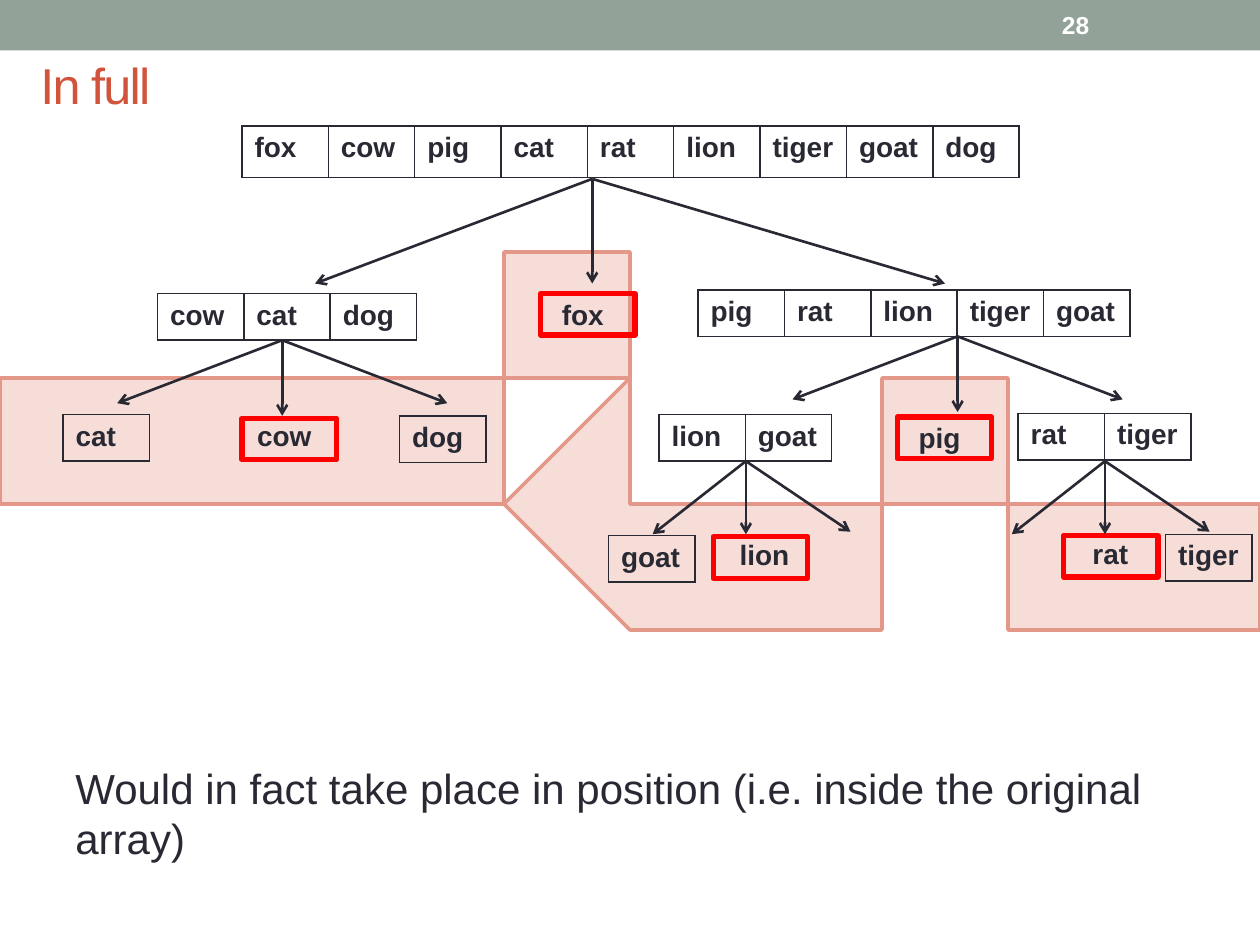
"""Build the slide showing a full quicksort recursion on animal names."""
from lxml import etree
from pptx import Presentation
from pptx.dml.color import RGBColor
from pptx.enum import shapes, text
from pptx.oxml import ns
from pptx.util import Inches, Pt

INK = RGBColor(0x29, 0x29, 0x34)
SAGE = RGBColor(0x93, 0xA2, 0x99)
RUST = RGBColor(0xD2, 0x53, 0x3C)
BLUSH = RGBColor(0xF6, 0xDD, 0xD8)
CORAL = RGBColor(0xE4, 0x98, 0x8A)
RED = RGBColor(0xFF, 0x00, 0x00)
WHITE = RGBColor(0xFF, 0xFF, 0xFF)
CELL_WIDTH = 6.17 / 9


def style(paragraph, size, color, bold=False):
    for run in paragraph.runs:
        run.font.name = "Arial"
        run.font.size = Pt(size)
        run.font.bold = bold
        run.font.color.rgb = color


def add_array(slide, left, top, words, bordered=True, height=0.37):
    frame = slide.shapes.add_table(1, len(words), Inches(left), Inches(top),
                                   Inches(CELL_WIDTH * len(words)), Inches(height))
    array = frame.table
    array.first_row = array.horz_banding = False
    for column, word in enumerate(words):
        cell = array.cell(0, column)
        cell.text = word
        style(cell.text_frame.paragraphs[0], 16, INK, bold=True)
        properties = cell._tc.get_or_add_tcPr()
        for side in ("a:lnL", "a:lnR", "a:lnT", "a:lnB"):
            border = etree.SubElement(properties, ns.qn(side), w=str(Pt(1)))
            if bordered:
                solid = etree.SubElement(border, ns.qn("a:solidFill"))
                etree.SubElement(solid, ns.qn("a:srgbClr"), val=str(INK))
            else:
                etree.SubElement(border, ns.qn("a:noFill"))
        cell.fill.background()


prs = Presentation()
prs.slide_width, prs.slide_height = Inches(10), Inches(7.5)
slide = prs.slides.add_slide(prs.slide_layouts[5])

banner = slide.shapes.add_shape(shapes.MSO_SHAPE.RECTANGLE, 0, 0, Inches(10), Inches(0.4))
banner.shadow.inherit = False
banner.fill.solid()
banner.fill.fore_color.rgb = SAGE
banner.line.fill.background()

sorted_outline = [
    (0.16, 3.78), (0.19, 3.48), (0.47, 3.3), (0.72, 3.22), (1.89, 3.2), (3.06, 3.23),
    (3.6, 3.21), (3.84, 3.08), (4.16, 2.47), (4.28, 2.31), (4.69, 2.19), (4.95, 2.23),
    (5.1, 2.34), (5.14, 2.7), (5.07, 3.62), (5.1, 3.97), (5.39, 4.16), (5.95, 4.2),
    (6.59, 4.38), (7.02, 4.35), (7.14, 4.15), (7.08, 3.6), (7.12, 3.34), (7.36, 3.23),
    (7.66, 3.2), (7.95, 3.23), (8.11, 3.42), (8.16, 4.02), (8.38, 4.11), (9.66, 4.09),
    (9.92, 4.23), (10.03, 4.45), (9.98, 4.72), (9.7, 4.94), (9.3, 5.05), (8.77, 5.02),
    (8.5, 4.94), (8.36, 4.74), (8.24, 4.26), (7.97, 4.08), (7.74, 3.98), (7.45, 4.02),
    (7.3, 4.33), (6.77, 4.61), (6.2, 4.7), (5.2, 4.77), (4.62, 4.74), (4.36, 4.22),
    (4.39, 3.9), (4.59, 3.4), (4.57, 3.04), (4.44, 2.97), (4.24, 2.98), (4.17, 3.17),
    (4.08, 3.65), (3.88, 3.81), (3.55, 3.88), (2.95, 3.9), (2.3, 4), (0.66, 3.98),
    (0.41, 3.85)]
builder = slide.shapes.build_freeform(*sorted_outline[0], scale=Inches(1))
builder.add_line_segments(sorted_outline[1:], close=True)
sorted_region = builder.convert_to_shape()
sorted_region.shadow.inherit = False
sorted_region.fill.solid()
sorted_region.fill.fore_color.rgb = BLUSH
sorted_region.line.color.rgb = CORAL
sorted_region.line.width = Pt(2.08)

heading = slide.shapes.title
heading.left, heading.top = Inches(0.22), Inches(0.42)
heading.width, heading.height = Inches(9), Inches(0.5)
heading.text_frame.text = "In full"
heading.text_frame.vertical_anchor = text.MSO_ANCHOR.MIDDLE
heading_line = heading.text_frame.paragraphs[0]
heading_line.alignment = text.PP_ALIGN.LEFT
style(heading_line, 28.8, RUST)
heading_line.runs[0].font._element.set("spc", "-100")

for left, top, width, height, words, size, color, bold, anchor in (
        (8.33, 0.02, 1.17, 0.36, "28", 14, WHITE, True, text.MSO_ANCHOR.MIDDLE),
        (0.5, 6, 8.92, 0.91,
         "Would in fact take place in position (i.e. inside the original array)",
         24, INK, False, text.MSO_ANCHOR.TOP)):
    caption = slide.shapes.add_textbox(Inches(left), Inches(top), Inches(width), Inches(height))
    caption.text_frame.word_wrap = True
    caption.text_frame.vertical_anchor = anchor
    caption.text_frame.text = words
    style(caption.text_frame.paragraphs[0], size, color, bold)

add_array(slide, 1.92, 1, "fox cow pig cat rat lion tiger goat dog".split(), height=0.41)
for left, top, words in (
        (5.54, 2.3, "pig rat lion tiger goat"), (1.25, 2.33, "cow cat dog"),
        (3.17, 3.3, "dog"), (0.5, 3.29, "cat"), (5.23, 3.29, "lion goat"),
        (8.08, 3.28, "rat tiger"), (4.83, 4.25, "goat"), (9.25, 4.24, "tiger")):
    add_array(slide, left, top, words.split())

for word, left, top, box_left, box_top in (
        ("fox", 4.36, 2.33, 4.29, 2.33), ("cow", 1.94, 3.29, 1.92, 3.32),
        ("pig", 7.19, 3.31, 7.12, 3.31), ("lion", 5.77, 4.24, 5.66, 4.26),
        ("rat", 8.57, 4.23, 8.44, 4.25)):
    add_array(slide, left, top, [word], bordered=False)
    pivot = slide.shapes.add_shape(shapes.MSO_SHAPE.RECTANGLE, Inches(box_left),
                                   Inches(box_top), Inches(0.75), Inches(0.33))
    pivot.shadow.inherit = False
    pivot.fill.background()
    pivot.line.color.rgb = RED
    pivot.line.width = Pt(3)

first_split = [(-2.2, 0.83), (0, 0.83), (2.8, 0.83)]
second_split = [(-1.31, 0.5), (0, 0.6), (1.31, 0.5)]
third_split = [(-0.74, 0.58), (0, 0.58), (0.83, 0.56)]
for x, y, split in ((4.7, 1.42, first_split), (2.24, 2.7, second_split),
                    (7.6, 2.67, second_split), (5.92, 3.66, third_split),
                    (8.77, 3.66, third_split)):
    for dx, dy in split:
        branch = slide.shapes.add_connector(shapes.MSO_CONNECTOR.STRAIGHT, Inches(x), Inches(y),
                                            Inches(x + dx), Inches(y + dy))
        branch.line.color.rgb = INK
        branch.line.width = Pt(1.5)
        etree.SubElement(branch.line._get_or_add_ln(), ns.qn("a:tailEnd"), type="arrow")
        etree.SubElement(branch._element.spPr, ns.qn("a:effectLst"))

prs.save("out.pptx")
